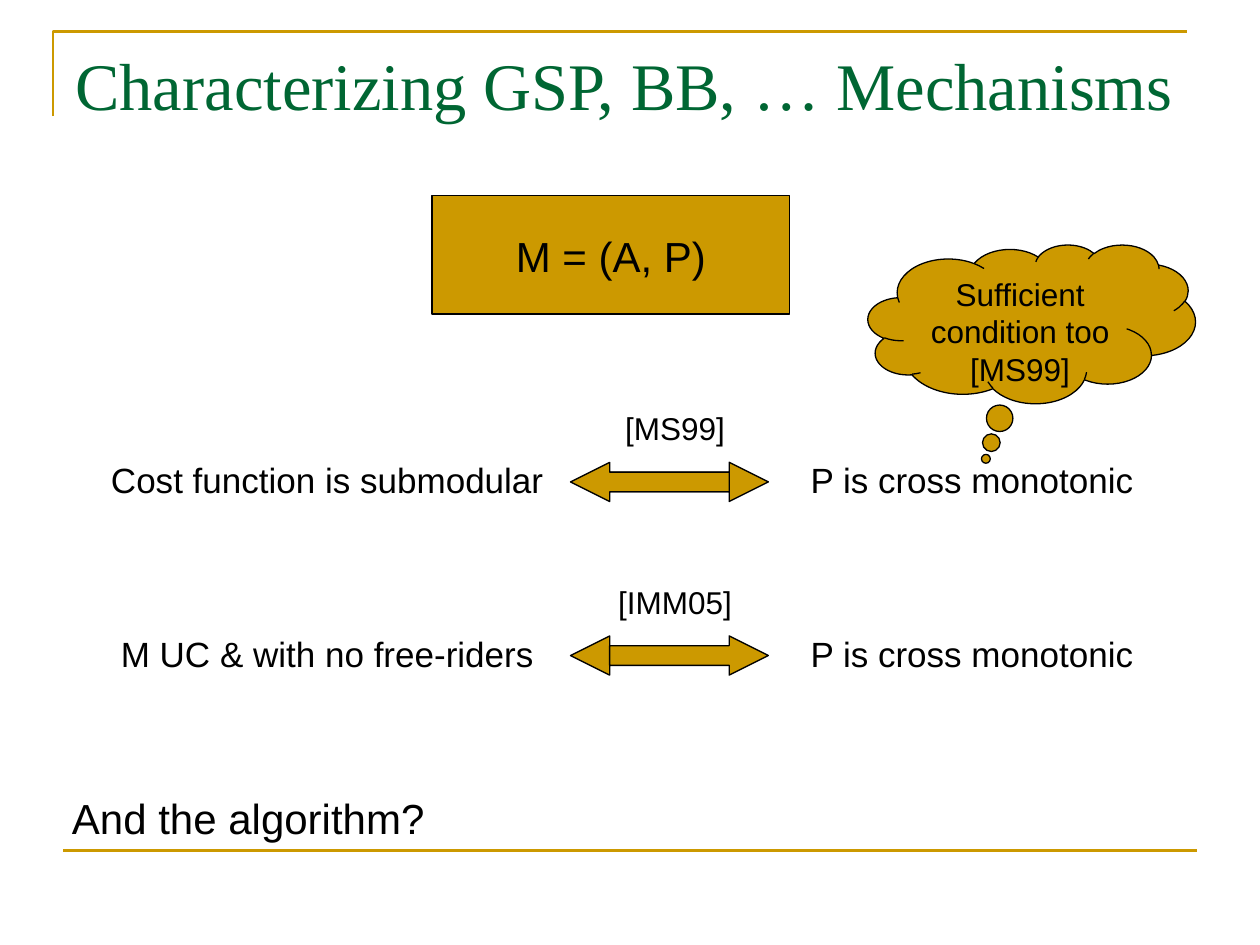
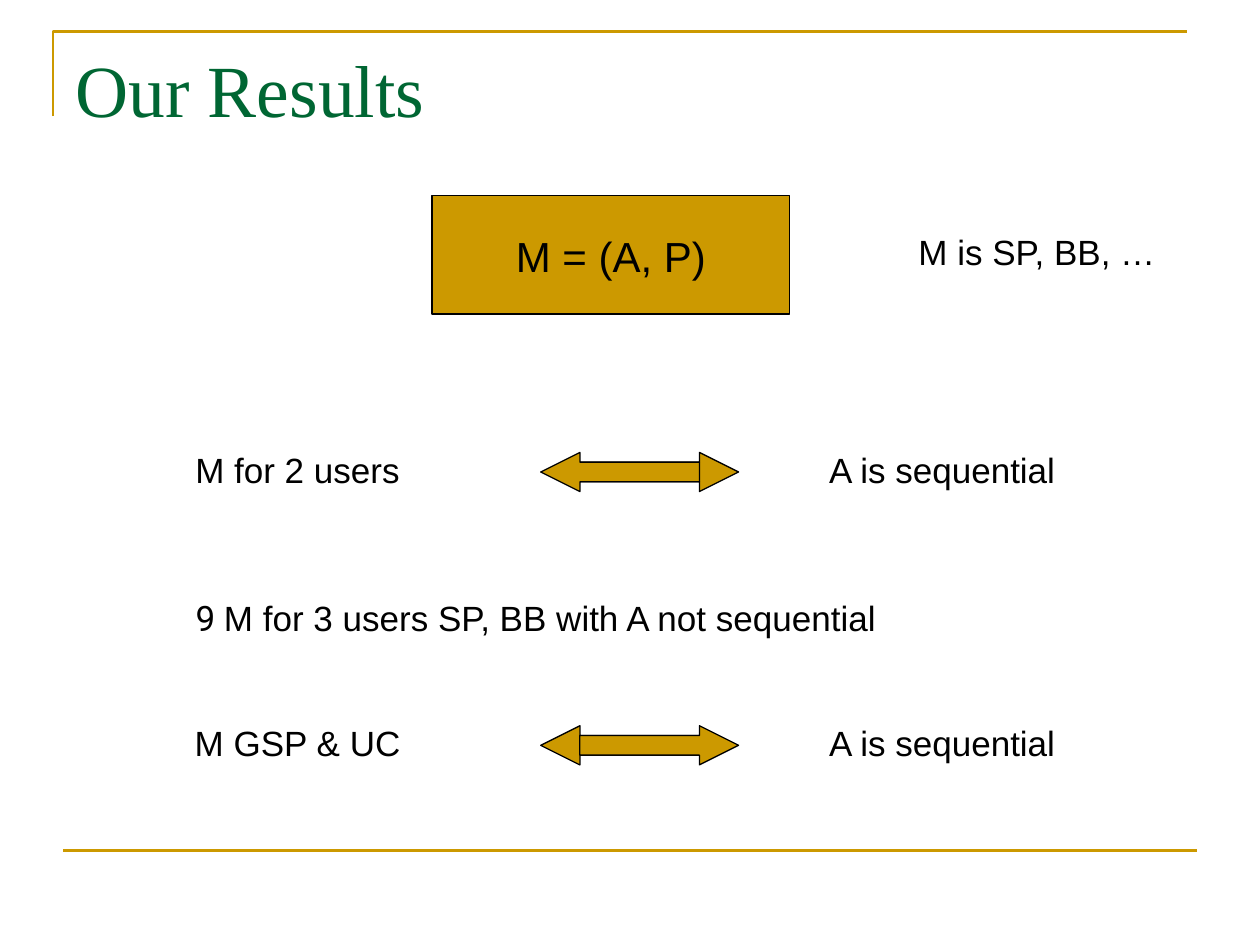
from dataclasses import dataclass

from lxml.etree import SubElement
from pptx import Presentation
from pptx.dml.color import RGBColor
from pptx.enum.shapes import MSO_CONNECTOR, MSO_SHAPE
from pptx.enum.text import MSO_ANCHOR, PP_ALIGN
from pptx.oxml.ns import qn
from pptx.util import Cm, Pt


@dataclass(frozen=True)
class Theme:
    """Colours, fonts, type sizes and line widths of the slides."""

    gold: RGBColor = RGBColor(0xCC, 0x99, 0x00)
    green: RGBColor = RGBColor(0x00, 0x66, 0x33)
    black: RGBColor = RGBColor(0x00, 0x00, 0x00)
    title_font: str = "Times New Roman"
    body_font: str = "Arial"
    symbol_font: str = "Roboto"
    title: int = 42
    long_title: int = 38
    large: int = 24
    body: int = 20
    small: int = 18
    rule: float = 1.5
    outline: float = 0.75


def set_values(target, values):
    """Set each attribute of the target from a dict."""
    for name, value in values.items():
        setattr(target, name, value)


class SlideBuilder:
    """Holds the style and the current slide and draws its elements."""

    row_text_height = 1.12

    def __init__(self, presentation, theme):
        """Keep the presentation and its theme."""
        self.presentation = presentation
        self.theme = theme
        self.slide = None

    def new_slide(self, title, size):
        """Start a slide with the frame lines and a title."""
        layout = self.presentation.slide_layouts[6]
        self.slide = self.presentation.slides.add_slide(layout)
        self.corner([(1.07, 2.34), (1.07, 0.64), (23.93, 0.64)])
        self.rule((1.27, 17.15), (24.13, 17.15))
        self.text(title, (1.27, 0.76, 22.86, 3.18), size, PP_ALIGN.LEFT,
                  self.theme.title_font, self.theme.green)

    def corner(self, points):
        """Draw the open corner line around the title."""
        start, *others = [(Cm(x), Cm(y)) for x, y in points]
        builder = self.slide.shapes.build_freeform(*start)
        builder.add_line_segments(others, close=False)
        shape = builder.convert_to_shape()
        shape.shadow.inherit = False
        shape.fill.background()
        self.stroke(shape.line, self.theme.gold, self.theme.rule)

    def rule(self, start, end):
        """Draw a straight rule without a shadow."""
        ends = [Cm(value) for value in start + end]
        connector = self.slide.shapes.add_connector(MSO_CONNECTOR.STRAIGHT, *ends)
        self.stroke(connector.line, self.theme.gold, self.theme.rule)
        SubElement(connector._element.spPr, qn("a:effectLst"))

    def stroke(self, line, color, width):
        """Give a line its colour and width."""
        line.color.rgb = color
        line.width = Pt(width)

    def fill_text(self, frame, paragraphs, size, alignment, font, color):
        """Fill a text frame; each paragraph is a string or (text, font) runs."""
        set_values(frame, {"word_wrap": True, "vertical_anchor": MSO_ANCHOR.TOP})
        for index, content in enumerate(paragraphs):
            paragraph = frame.paragraphs[0] if index == 0 else frame.add_paragraph()
            paragraph.alignment = alignment
            runs = [(content, font)] if isinstance(content, str) else content
            for text, name in runs:
                run = paragraph.add_run()
                run.text = text
                set_values(run.font, {"name": name, "size": Pt(size)})
                run.font.color.rgb = color

    def text(self, content, box, size, alignment=PP_ALIGN.CENTER, font=None, color=None):
        """Add a text box with one paragraph."""
        shape = self.slide.shapes.add_textbox(*map(Cm, box))
        self.fill_text(shape.text_frame, [content], size, alignment,
                       font or self.theme.body_font, color or self.theme.black)
        return shape

    def shape(self, kind, box, adjustments=(), rotation=0):
        """Add a gold shape with a thin black outline."""
        shape = self.slide.shapes.add_shape(kind, *map(Cm, box))
        shape.shadow.inherit = False
        shape.rotation = rotation
        shape.fill.solid()
        shape.fill.fore_color.rgb = self.theme.gold
        self.stroke(shape.line, self.theme.black, self.theme.outline)
        for index, value in enumerate(adjustments):
            shape.adjustments[index] = value
        return shape

    def mechanism(self):
        """Add the box that names the mechanism."""
        box = self.shape(MSO_SHAPE.RECTANGLE, (8.71, 3.94, 7.21, 2.39))
        label = self.text("M = (A, P)", (8.71, 4.52, 7.21, 1.27), self.theme.large)
        self.slide.shapes.add_group_shape([box, label])

    def equivalence(self, condition, result, left, top, reference=None, left_in_front=True):
        """Add a row of two statements joined by a double arrow."""
        height = self.row_text_height
        self.text(condition, (left, top, 9.4, height), self.theme.body)
        self.text(result, (left + 13.39, top, 8.61, height), self.theme.body)
        if reference:
            self.text(reference, (left + 10.01, top - 1, 3.4, 1.02), self.theme.small)
        arrows = [(10.39, 0), (9.6, 180)]
        for offset, rotation in arrows if left_in_front else reversed(arrows):
            self.shape(MSO_SHAPE.RIGHT_ARROW, (left + offset, top + 0.2, 3.2, 0.79),
                       (0.5, 1), rotation)

    def thought(self, paragraphs, box, tail):
        """Add a thought cloud with centred text."""
        cloud = self.shape(MSO_SHAPE.CLOUD_CALLOUT, box, tail)
        self.fill_text(cloud.text_frame, paragraphs, self.theme.small, PP_ALIGN.CENTER,
                       self.theme.body_font, self.theme.black)


def characterizing_slide(builder):
    """Build the slide on known characterizations."""
    theme = builder.theme
    builder.new_slide("Characterizing GSP, BB, … Mechanisms", theme.long_title)
    builder.mechanism()
    result = "P is cross monotonic"
    builder.equivalence("Cost function is submodular", result, 1.9, 9.12, "[MS99]")
    builder.thought(["Sufficient condition too", "[MS99]"],
                    (17.5, 4.93, 6.6, 3.2), (-0.14, 0.85))
    builder.equivalence("M UC & with no free-riders", result, 1.9, 12.62, "[IMM05]",
                        left_in_front=False)
    builder.text("And the algorithm?", (0.51, 15.85, 8.99, 1.27), theme.large)


def results_slide(builder):
    """Build the slide on the new results."""
    theme = builder.theme
    builder.new_slide("Our Results", theme.title)
    builder.mechanism()
    result = "A is sequential"
    builder.equivalence("M for 2 users", result, 1.3, 8.92)
    builder.equivalence("M GSP & UC", result, 1.3, 14.43, left_in_front=False)
    builder.text("M is SP, BB, …", (17.3, 4.52, 7.21, 1.12), theme.body)
    counterexample = [("9 ", theme.symbol_font),
                      ("M for 3 users SP, BB with A not sequential", theme.body_font)]
    builder.text(counterexample, (1.9, 11.91, 17.81, 1.12), theme.body)


def main():
    """Build and save the presentation."""
    presentation = Presentation()
    set_values(presentation, {"slide_width": Cm(25.4), "slide_height": Cm(19.05)})
    builder = SlideBuilder(presentation, Theme())
    characterizing_slide(builder)
    results_slide(builder)
    presentation.save("out.pptx")


if __name__ == "__main__":
    main()
